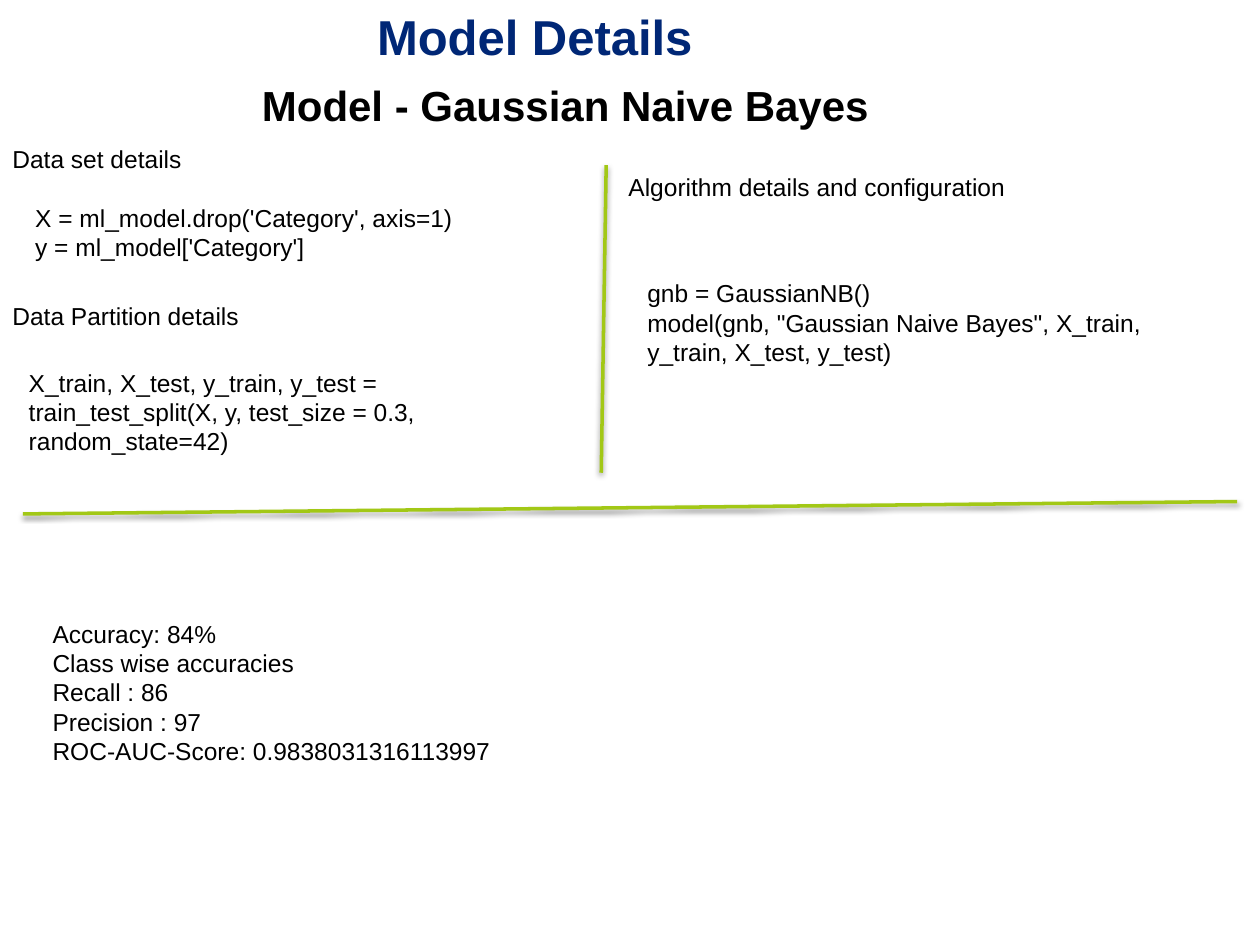
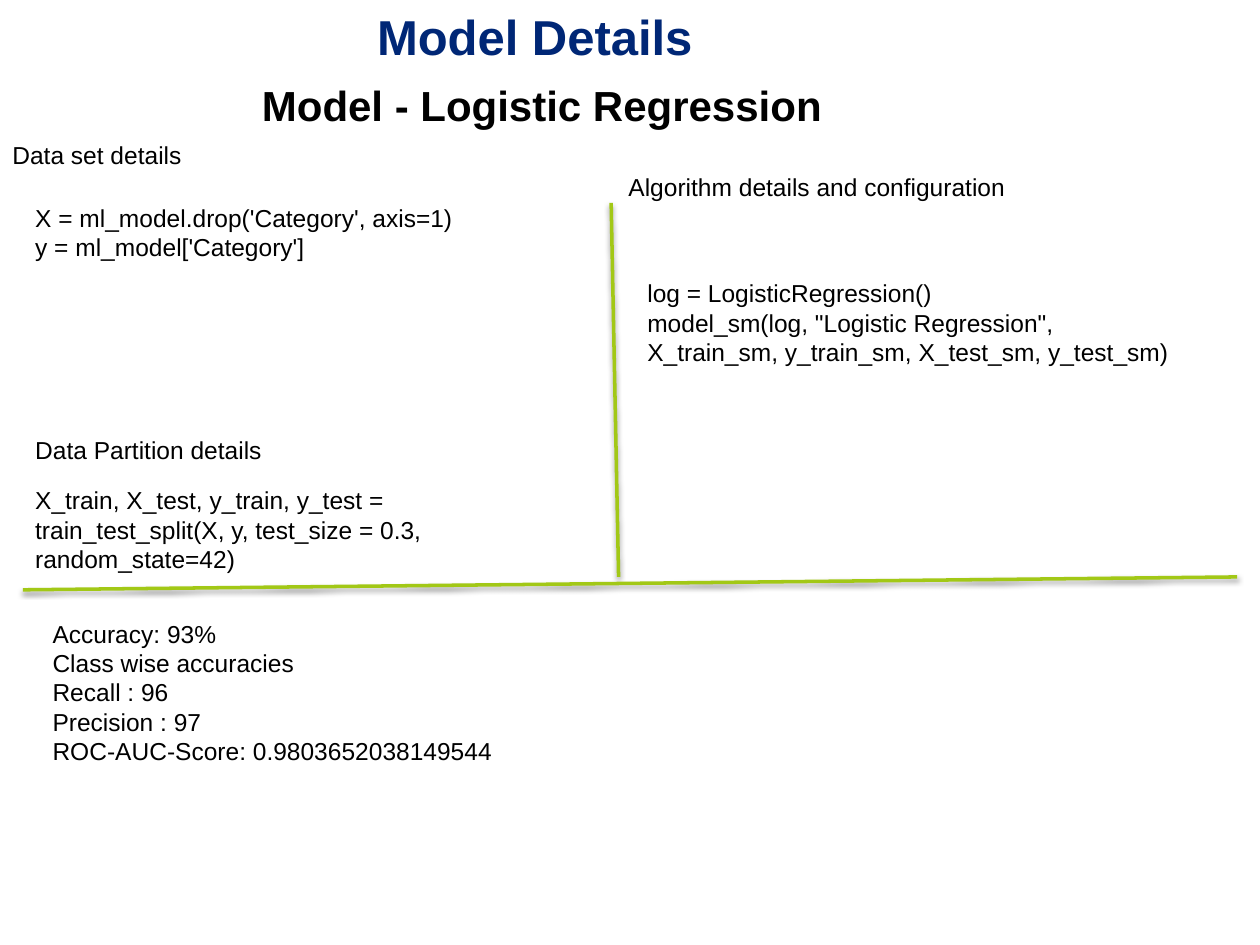
"""Build the model detail slides, one for each classifier."""
from dataclasses import dataclass
from typing import Any, NamedTuple

from pptx import Presentation, oxml
from pptx import util as u
from pptx.dml import color
from pptx.enum import shapes, text
from pptx.oxml import ns


@dataclass(frozen=True)
class Theme:
    """Colours, typeface, type sizes and insets."""
    font: str = "Arial"
    navy: str = "002776"
    black: str = "000000"
    green: str = "A2C816"
    title_size: int = 28
    heading_size: int = 24
    body_size: int = 14
    line_width: int = 2
    side_inset: float = 0.25
    text_inset: float = 0.13
    code_inset: float = 0.25


class Area(NamedTuple):
    """A rectangle in centimetres."""
    left: float
    top: float
    width: float
    height: float


class Rule(NamedTuple):
    """A line between two points in centimetres."""
    x1: float
    y1: float
    x2: float
    y2: float


class Block(NamedTuple):
    """Some lines of body text in an area."""
    area: Area
    lines: tuple[str, ...]
    inset: float


@dataclass(frozen=True)
class Model:
    """What differs from one model slide to the next."""
    name: str
    code: tuple[str, ...]
    accuracy: int
    recall: int
    precision: int
    roc_auc: str
    data_top: float
    features_height: float
    partition_at: tuple[float, float]
    split_at: tuple[float, float]
    rules: tuple[Rule, ...]


THEME = Theme()
TITLE_AREA = Area(0, 0, 21.56, 1.45)
HEADING_AREA = Area(5.03, 1.47, 13.28, 1.27)
FEATURES = ("X = ml_model.drop('Category', axis=1)", "y = ml_model['Category']")
SPLIT = ("X_train, X_test, y_train, y_test = "
         "train_test_split(X, y, test_size = 0.3, random_state=42)",)

MODELS = (
    Model(
        name="Gaussian Naive Bayes",
        code=("gnb = GaussianNB()",
              'model(gnb, "Gaussian Naive Bayes", X_train, y_train, X_test, y_test)'),
        accuracy=84, recall=86, precision=97, roc_auc="0.9838031316113997",
        data_top=2.77, features_height=2.11,
        partition_at=(0, 5.94), split_at=(0.33, 7.16),
        rules=(Rule(12.22, 3.33, 12.12, 9.53), Rule(0.46, 10.36, 24.94, 10.11)),
    ),
    Model(
        name="Logistic Regression",
        code=("log = LogisticRegression()",
              'model_sm(log, "Logistic Regression", '
              "X_train_sm, y_train_sm, X_test_sm, y_test_sm)"),
        accuracy=93, recall=96, precision=97, roc_auc="0.9803652038149544",
        data_top=2.69, features_height=4.7,
        partition_at=(0.46, 8.64), split_at=(0.46, 9.53),
        rules=(Rule(12.32, 4.09, 12.47, 11.63), Rule(0.46, 11.89, 24.94, 11.63)),
    ),
)


def apply(target: Any, values: dict[str, Any]) -> None:
    """Set every named attribute on the target."""
    for name, value in values.items():
        setattr(target, name, value)


def write(box: Any, lines: tuple[str, ...], size: int, ink: str = THEME.black,
          bold: bool = False, inset: float = THEME.text_inset,
          align: Any = text.PP_ALIGN.LEFT) -> None:
    """Fill a box with formatted lines, one paragraph each."""
    frame = box.text_frame
    frame.text = "\n".join(lines)
    apply(frame, {
        "word_wrap": True,
        "auto_size": text.MSO_AUTO_SIZE.NONE,
        "vertical_anchor": text.MSO_ANCHOR.TOP,
        "margin_left": u.Cm(THEME.side_inset),
        "margin_right": u.Cm(THEME.side_inset),
        "margin_top": u.Cm(inset),
        "margin_bottom": u.Cm(inset),
    })
    for para in frame.paragraphs:
        para.alignment = align
        for span in para.runs:
            apply(span.font, {"name": THEME.font, "size": u.Pt(size), "bold": bold})
            span.font.color.rgb = color.RGBColor.from_string(ink)


def add_box(page: Any, area: Area) -> Any:
    """Add an empty text box."""
    return page.shapes.add_textbox(*map(u.Cm, area))


def add_rule(page: Any, rule: Rule) -> None:
    """Draw a green line with a soft shadow below it."""
    line = page.shapes.add_connector(shapes.MSO_CONNECTOR.STRAIGHT, *map(u.Cm, rule))
    line.line.width = u.Pt(THEME.line_width)
    line.line.color.rgb = color.RGBColor.from_string(THEME.green)
    line._element.spPr.append(oxml.parse_xml(
        f'<a:effectLst {ns.nsdecls("a")}>'
        '<a:outerShdw blurRad="40000" dist="20000" dir="5400000" rotWithShape="0">'
        f'<a:srgbClr val="{THEME.black}"><a:alpha val="38000"/></a:srgbClr>'
        "</a:outerShdw></a:effectLst>"))


def body_blocks(model: Model) -> tuple[Block, ...]:
    """List the labels, code and results of a model."""
    results = (
        f"Accuracy: {model.accuracy}%",
        "Class wise accuracies",
        f"Recall : {model.recall}",
        f"Precision : {model.precision}",
        f"ROC-AUC-Score: {model.roc_auc}",
    )
    plain, code = THEME.text_inset, THEME.code_inset
    return (
        Block(Area(0, model.data_top, 5.49, 1.02), ("Data set details",), plain),
        Block(Area(*model.partition_at, 7.16, 1.02), ("Data Partition details",), plain),
        Block(Area(12.42, 3.33, 13.28, 1.02),
              ("Algorithm details and configuration",), plain),
        Block(Area(0.81, 12.34, 14.5, 5.64), results, plain),
        Block(Area(0.46, 3.84, 10.62, model.features_height), FEATURES, code),
        Block(Area(*model.split_at, 11.3, 2.36), SPLIT, code),
        Block(Area(12.8, 5.36, 11.3, 2.36), model.code, code),
    )


def add_model_page(deck: Any, model: Model) -> None:
    """Add the slide of one model."""
    page = deck.slides.add_slide(deck.slide_layouts.get_by_name("Title Only"))
    title = page.shapes.title
    apply(title, {name: u.Cm(value) for name, value in TITLE_AREA._asdict().items()})
    write(title, ("Model Details",), THEME.title_size, THEME.navy, bold=True,
          align=text.PP_ALIGN.CENTER)
    for rule in model.rules:
        add_rule(page, rule)
    write(add_box(page, HEADING_AREA), (f"Model - {model.name}",),
          THEME.heading_size, bold=True)
    for block in body_blocks(model):
        write(add_box(page, block.area), block.lines, THEME.body_size, inset=block.inset)


def main() -> None:
    """Build and save the deck."""
    deck = Presentation()
    apply(deck, {"slide_width": u.Cm(25.4), "slide_height": u.Cm(19.05)})
    for model in MODELS:
        add_model_page(deck, model)
    deck.save("out.pptx")


if __name__ == "__main__":
    main()
